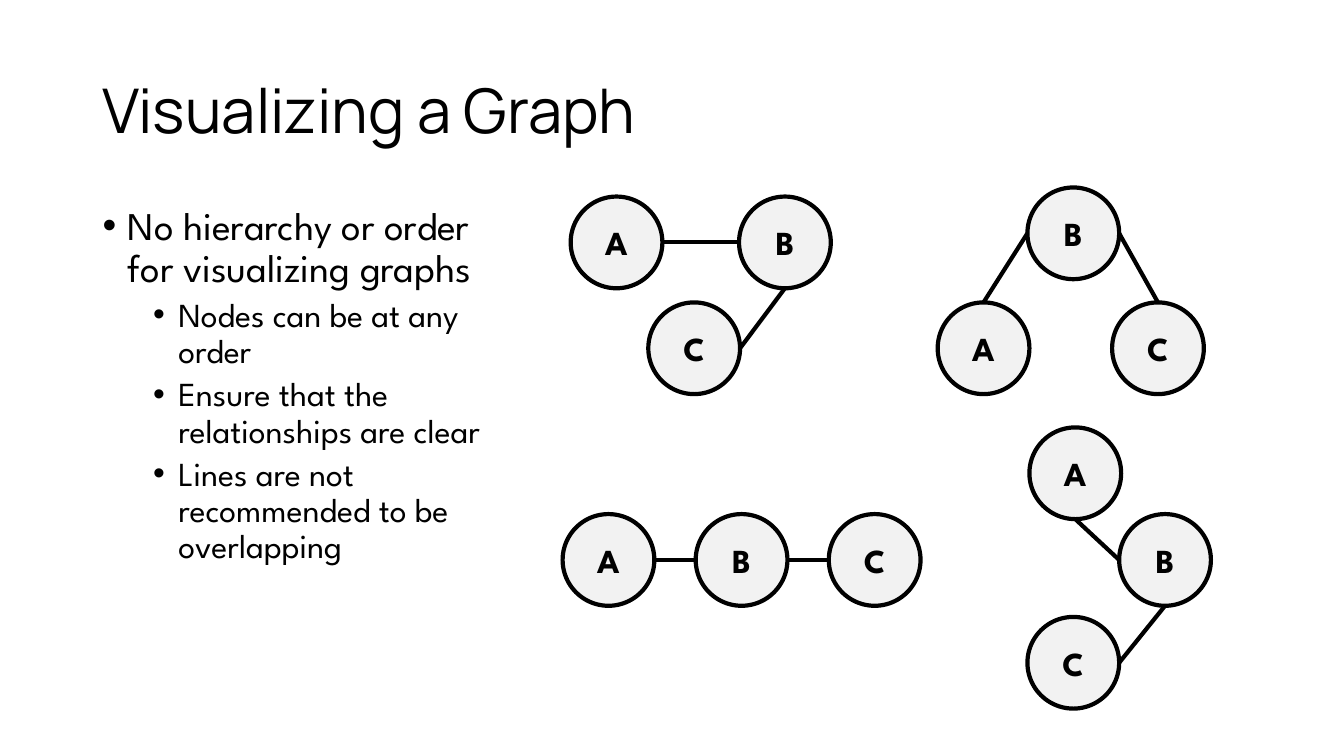
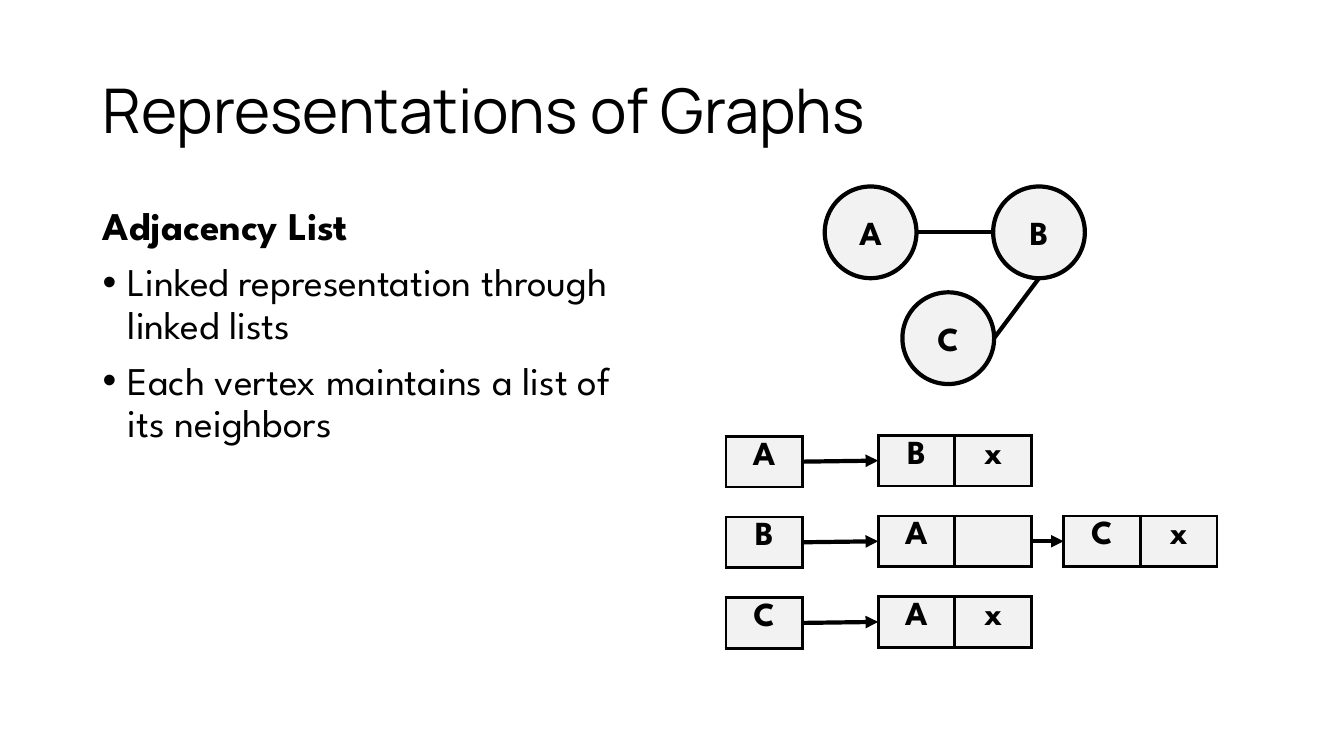
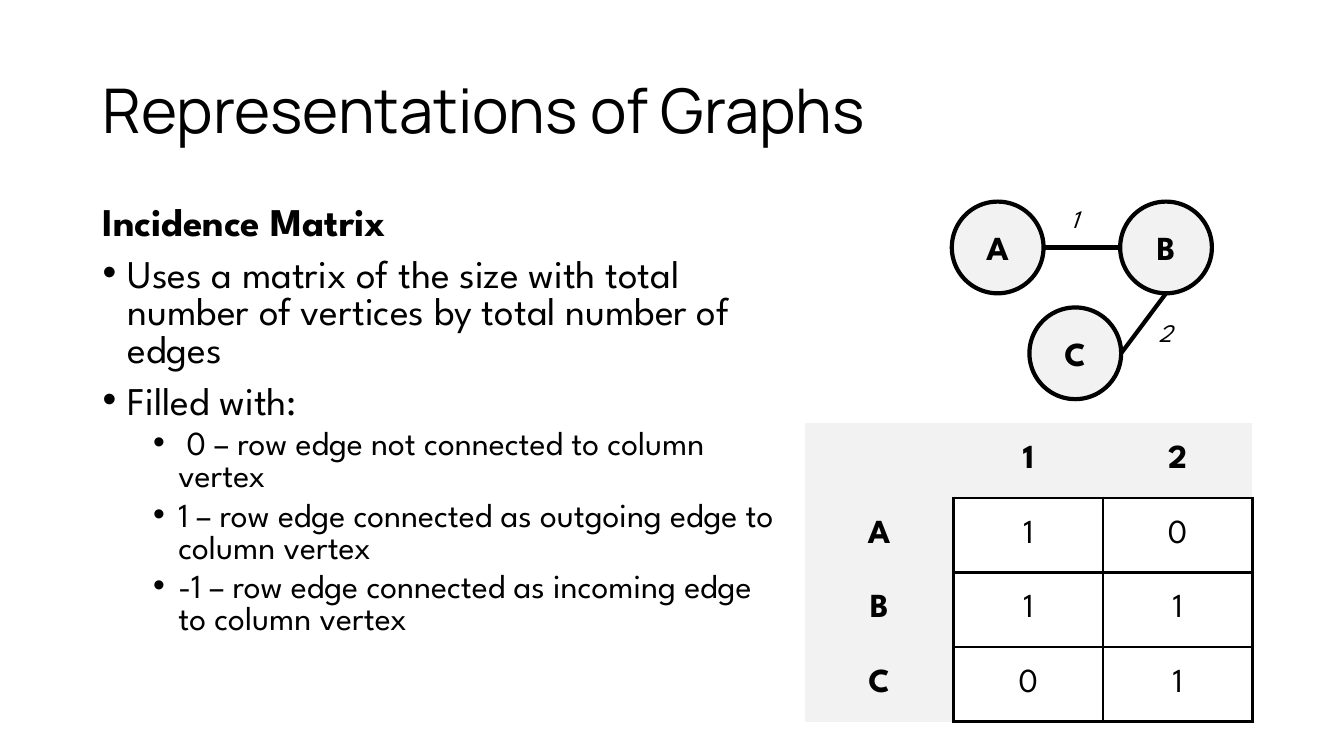
from lxml import etree
from pptx import Presentation
from pptx.dml.color import RGBColor
from pptx.enum import shapes, text
from pptx.oxml.ns import qn
from pptx.util import Inches, Pt

BLACK, GREY, WHITE = "000000", "F2F2F2", "FFFFFF"
TITLE_FONT, BODY_FONT = "Manrope", "League Spartan"
NODE = 0.91
SIDES = {"t": (0.5, 0), "b": (0.5, 1), "l": (0, 0.5), "r": (1, 0.5)}


def paint(fill, color):
    fill.solid()
    fill.fore_color.rgb = RGBColor.from_string(color)


def write(frame, words, size=24, font=BODY_FONT, bold=False, italic=False,
          align=None, spacing=None, before=0, indent=None):
    paragraph = frame.paragraphs[0]
    if paragraph.runs:
        paragraph = frame.add_paragraph()
    paragraph.alignment = align
    paragraph.line_spacing = spacing
    paragraph.space_before = Pt(before)
    run = paragraph.add_run()
    run.text = words
    run.font.size, run.font.name = Pt(size), font
    run.font.bold, run.font.italic = bold, italic
    paint(run.font.fill, BLACK)
    if indent:
        layout = paragraph._p.get_or_add_pPr()
        layout.set("marL", str(Inches(indent)))
        layout.set("indent", str(Inches(-0.25)))
        etree.SubElement(layout, qn("a:buFont")).set("typeface", "Arial")
        etree.SubElement(layout, qn("a:buChar")).set("char", "•")


bullet_styles = {
    "heading": dict(size=28, bold=True),
    "point": dict(size=28, before=10, indent=0.25),
    "detail": dict(size=24, before=5, indent=0.75),
}
trio = {"A": (0, 0), "C": (0.77, 1.05), "B": (1.67, 0)}
trio_edges = ["Ar Bl", "Bb Cr"]

neighbor_tables, neighbor_arrows = [], []
adjacency = [("A", ["Bx"]), ("B", ["A ", "Cx"]), ("C", ["Ax"])]
for number, (vertex, neighbors) in enumerate(adjacency):
    top = 4.32 + 0.8 * number
    neighbor_tables.append((7.2, top + 0.01, 0.76, 0.41, [vertex], False))
    neighbor_arrows.append((7.95, top + 0.26, 8.71, top + 0.25))
    for left, cells in zip((8.71, 10.55), neighbors):
        neighbor_tables.append((left, top, 0.76, 0.41, [cells], False))
    if len(neighbors) > 1:
        neighbor_arrows.append((10.22, top + 0.25, 10.55, top + 0.25))

pages = [
    dict(
        title="Visualizing a Graph", body=(4.11, 4.76), spacing=0.9,
        bullets=[
            ("point", "No hierarchy or order for visualizing graphs"),
            ("detail", "Nodes can be at any order"),
            ("detail", "Ensure that the relationships are clear"),
            ("detail", "Lines are not recommended to be overlapping"),
        ],
        graphs=[
            (5.66, 1.95, trio, trio_edges),
            (9.3, 1.86, {"A": (0, 1.14), "C": (1.73, 1.14), "B": (0.89, 0)}, ["Bl At", "Br Ct"]),
            (5.58, 5.1, {"A": (0, 0), "C": (2.64, 0), "B": (1.32, 0)}, ["Bl Ar", "Br Cl"]),
            (10.19, 4.24, {"A": (0.02, 0), "C": (0, 1.88), "B": (0.91, 0.86)}, ["Bl Ab", "Bb Cr"]),
        ],
        tables=[], arrows=[], labels=[],
    ),
    dict(
        title="Representations of Graphs", body=(5.67, 2.57), spacing=0.9,
        bullets=[
            ("heading", "Adjacency List"),
            ("point", "Linked representation through linked lists"),
            ("point", "Each vertex maintains a list of its neighbors"),
        ],
        graphs=[(8.18, 1.85, trio, trio_edges)],
        tables=neighbor_tables, arrows=neighbor_arrows, labels=[],
    ),
    dict(
        title="Representations of Graphs", body=(6.86, 4.73), spacing=0.8,
        bullets=[
            ("heading", "Incidence Matrix"),
            ("point", "Uses a matrix of the size with total number of vertices by total number of edges"),
            ("point", "Filled with:"),
            ("detail", " 0 – row edge not connected to column vertex"),
            ("detail", "1 – row edge connected as outgoing edge to column vertex"),
            ("detail", "-1 – row edge connected as incoming edge to column vertex"),
        ],
        graphs=[(9.44, 2, trio, trio_edges)],
        tables=[(7.98, 4.2, 1.48, 0.74, [" 12", "A10", "B11", "C01"], True)],
        arrows=[], labels=[("1", 10.52, 1.97), ("2", 11.39, 3.1)],
    ),
]

deck = Presentation()
deck.slide_width, deck.slide_height = Inches(13.33), Inches(7.5)

for page in pages:
    slide = deck.slides.add_slide(deck.slide_layouts[6])
    paint(slide.background.fill, WHITE)

    title = slide.shapes.add_textbox(Inches(0.92), Inches(0.4), Inches(11.5), Inches(1.45)).text_frame
    title.word_wrap = True
    title.vertical_anchor = text.MSO_ANCHOR.MIDDLE
    write(title, page["title"], size=44, font=TITLE_FONT, spacing=0.9)

    width, height = page["body"]
    body = slide.shapes.add_textbox(Inches(0.92), Inches(2), Inches(width), Inches(height)).text_frame
    body.word_wrap = True
    for number, (kind, words) in enumerate(page["bullets"]):
        style = dict(bullet_styles[kind], spacing=page["spacing"])
        if number == 0:
            style["before"] = 0
        write(body, words, **style)

    links = []
    for left, top, nodes, edges in page["graphs"]:
        for name, (dx, dy) in nodes.items():
            node = slide.shapes.add_shape(
                shapes.MSO_SHAPE.OVAL, Inches(left + dx), Inches(top + dy), Inches(NODE), Inches(NODE))
            node.shadow.inherit = False
            paint(node.fill, GREY)
            paint(node.line.fill, BLACK)
            node.line.width = Pt(3)
            node.text_frame.vertical_anchor = text.MSO_ANCHOR.MIDDLE
            write(node.text_frame, name, bold=True, align=text.PP_ALIGN.CENTER)
        for edge in edges:
            ends = []
            for name, side in edge.split():
                ends += [start + offset + NODE * share for start, offset, share
                         in zip((left, top), nodes[name], SIDES[side])]
            links.append((ends, False))
    links += [(ends, True) for ends in page["arrows"]]

    for left, top, column_width, row_height, rows, headed in page["tables"]:
        columns = len(rows[0])
        grid = slide.shapes.add_table(
            len(rows), columns, Inches(left), Inches(top),
            Inches(column_width * columns), Inches(row_height * len(rows))).table
        grid.first_row = grid.horz_banding = False
        for r, row in enumerate(rows):
            for c, value in enumerate(row):
                cell = grid.cell(r, c)
                inner = headed and r > 0 and c > 0
                if inner or not headed:
                    bordered = "LRTB"
                else:
                    bordered = "B" if c else "R" if r else ""
                for side in "LRTB":
                    border = etree.SubElement(cell._tc.get_or_add_tcPr(), qn(f"a:ln{side}"))
                    if side in bordered:
                        border.set("w", str(Pt(2.25)))
                        ink = etree.SubElement(border, qn("a:solidFill"))
                        etree.SubElement(ink, qn("a:srgbClr")).set("val", BLACK)
                    else:
                        etree.SubElement(border, qn("a:noFill"))
                paint(cell.fill, WHITE if inner else GREY)
                if headed:
                    cell.vertical_anchor = text.MSO_ANCHOR.MIDDLE
                if value.strip():
                    write(cell.text_frame, value, bold=not inner, align=text.PP_ALIGN.CENTER)

    for ends, pointed in links:
        link = slide.shapes.add_connector(shapes.MSO_CONNECTOR.STRAIGHT, *map(Inches, ends))
        paint(link.line.fill, BLACK)
        link.line.width = Pt(3)
        drawing = link._element.spPr
        if pointed:
            etree.SubElement(drawing.find(qn("a:ln")), qn("a:tailEnd")).set("type", "triangle")
        etree.SubElement(drawing, qn("a:effectLst"))

    for words, left, top in page["labels"]:
        label = slide.shapes.add_textbox(Inches(left), Inches(top), Inches(0.34), Inches(0.4)).text_frame
        write(label, words, size=18, italic=True)

deck.save("out.pptx")
